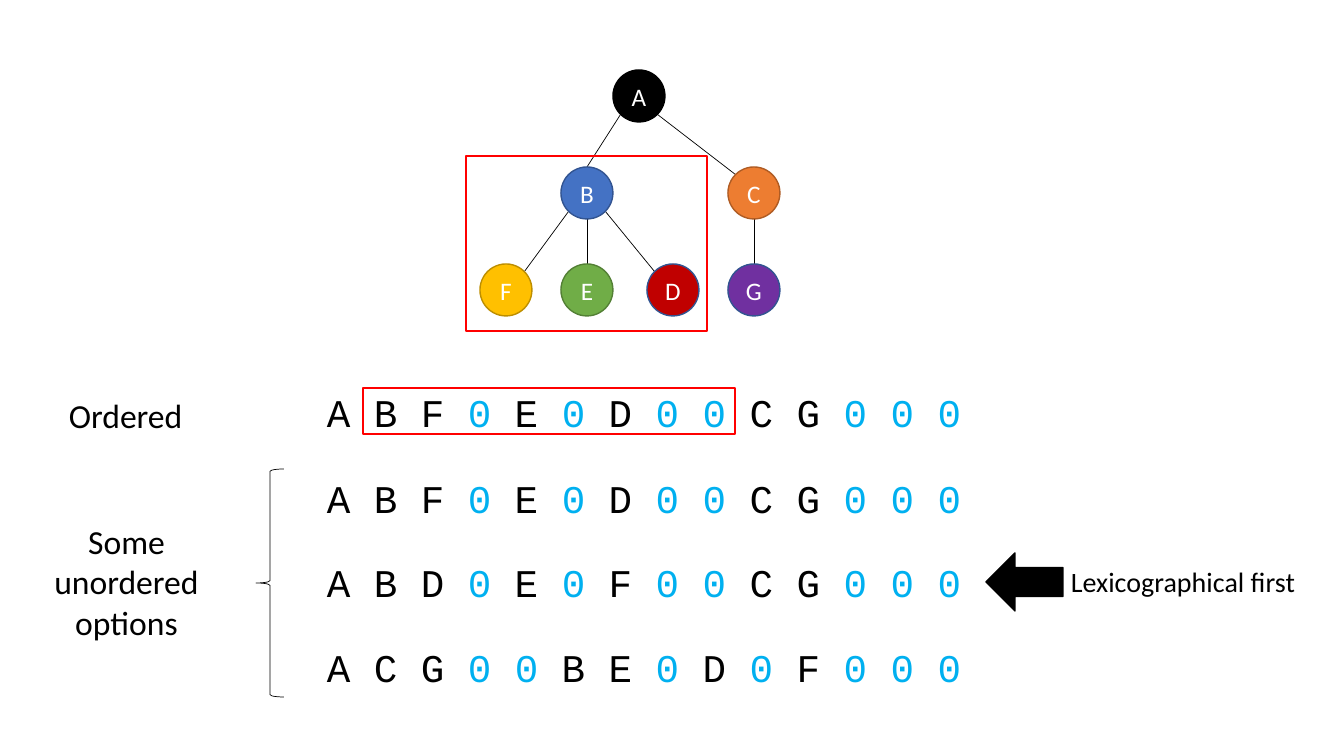
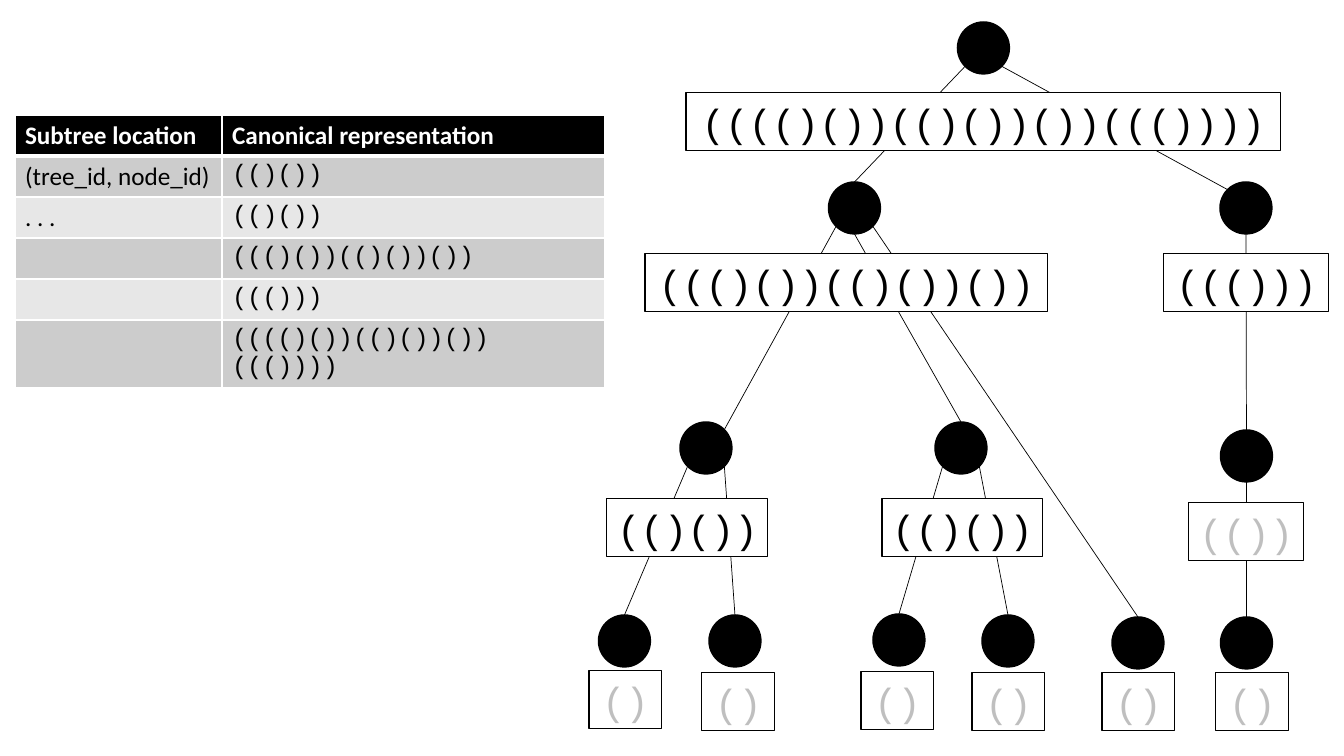
from dataclasses import dataclass
from itertools import groupby
from math import sqrt
from typing import Dict, List, NamedTuple, Optional, Tuple

from lxml import etree
from pptx import Presentation
from pptx.dml.color import RGBColor
from pptx.enum.shapes import MSO_CONNECTOR, MSO_SHAPE
from pptx.enum.text import MSO_ANCHOR, PP_ALIGN
from pptx.oxml.ns import qn
from pptx.util import Emu, Pt

ELLIPSE, RECT = MSO_SHAPE.OVAL, MSO_SHAPE.RECTANGLE
BRACE, ARROW = MSO_SHAPE.LEFT_BRACE, MSO_SHAPE.LEFT_ARROW
STRAIGHT = MSO_CONNECTOR.STRAIGHT
LEFT, CENTER = PP_ALIGN.LEFT, PP_ALIGN.CENTER
TOP, MIDDLE = MSO_ANCHOR.TOP, MSO_ANCHOR.MIDDLE

PX_PER_INCH = 100.8
RADIUS = 26
LABEL_HEIGHT = 58
DIAGONAL = 1 / sqrt(2)
SITES = {
    "top": (0, -1), "bottom": (0, 1),
    "top left": (-DIAGONAL, -DIAGONAL), "top right": (DIAGONAL, -DIAGONAL),
    "bottom left": (-DIAGONAL, DIAGONAL), "bottom right": (DIAGONAL, DIAGONAL),
}


@dataclass(frozen=True)
class Theme:
    """Colours, fonts and type sizes of both slides."""
    black: str = "000000"
    white: str = "FFFFFF"
    red: str = "FF0000"
    zero: str = "00B0F0"
    leaf: str = "BFBFBF"
    band_dark: str = "CCCCCC"
    band_light: str = "E7E7E7"
    sans: str = "Calibri"
    mono: str = "Courier New"
    code_size: int = 28
    caption_size: int = 24
    note_size: int = 20
    body_size: int = 18
    hairline: float = 0.5


THEME = Theme()


class Box(NamedTuple):
    """Left, top, width and height in pixels."""
    left: float
    top: float
    width: float
    height: float


class Node(NamedTuple):
    """A tree node, placed by its centre."""
    x: float
    y: float
    letter: str = ""
    fill: str = THEME.black
    line: str = THEME.black


class Edge(NamedTuple):
    """A line between the rims of two nodes."""
    parent: str
    start: str
    child: str
    end: str = "top"


class Label(NamedTuple):
    """A boxed bracket string under a node."""
    left: int
    top: int
    width: int
    brackets: str
    color: str = THEME.black


def px(length: float) -> Emu:
    """Turn pixels into EMU."""
    return Emu(round(length * 914400 / PX_PER_INCH))


def rgb(color: str) -> RGBColor:
    """Turn a hex string into a colour."""
    return RGBColor.from_string(color)


def write_text(frame, text: str, *, size: int = THEME.body_size, font: str = THEME.sans,
               color: str = THEME.black, zero_color: Optional[str] = None,
               bold: bool = False, align: PP_ALIGN = LEFT) -> None:
    """Write one paragraph, giving zeros their own colour if one is set."""
    paragraph = frame.paragraphs[0]
    paragraph.alignment = align
    for is_zero, letters in groupby(text, lambda letter: zero_color is not None and letter == "0"):
        run = paragraph.add_run()
        run.text = "".join(letters)
        run.font.name, run.font.size, run.font.bold = font, Pt(size), bold
        run.font.color.rgb = rgb(zero_color if is_zero else color)


def add_text(slide, box: Box, text: str, wrap: bool = False, **text_format) -> None:
    """Add a text box."""
    frame = slide.shapes.add_textbox(*map(px, box)).text_frame
    frame.word_wrap = wrap
    write_text(frame, text, **text_format)


def add_figure(slide, kind: MSO_SHAPE, box: Box, *, fill: Optional[str] = None,
               line: str = THEME.black, weight: float = 1, text: str = "",
               anchor: MSO_ANCHOR = MIDDLE, **text_format) -> None:
    """Add a preset shape with an optional fill and text."""
    shape = slide.shapes.add_shape(kind, *map(px, box))
    shape.shadow.inherit = False
    if fill:
        shape.fill.solid()
        shape.fill.fore_color.rgb = rgb(fill)
    else:
        shape.fill.background()
    shape.line.color.rgb = rgb(line)
    shape.line.width = Pt(weight)
    if text:
        shape.text_frame.word_wrap = False
        shape.text_frame.vertical_anchor = anchor
        write_text(shape.text_frame, text, align=CENTER, **text_format)


def rim_point(node: Node, site: str) -> Tuple[Emu, Emu]:
    """Find a connection site on the rim of a node."""
    dx, dy = SITES[site]
    return px(node.x + RADIUS * dx), px(node.y + RADIUS * dy)


def add_tree(slide, nodes: Dict[str, Node], edges: List[Edge]) -> None:
    """Draw the edges and then the nodes of a tree."""
    for edge in edges:
        connector = slide.shapes.add_connector(
            STRAIGHT, *rim_point(nodes[edge.parent], edge.start),
            *rim_point(nodes[edge.child], edge.end))
        connector.line.color.rgb = rgb(THEME.black)
        connector.line.width = Pt(THEME.hairline)
        etree.SubElement(connector._element.spPr, qn("a:effectLst"))
    for node in nodes.values():
        circle = Box(node.x - RADIUS, node.y - RADIUS, 2 * RADIUS, 2 * RADIUS)
        add_figure(slide, ELLIPSE, circle, fill=node.fill, line=node.line,
                   text=node.letter, color=THEME.white)


def add_border(cell, side: str, weight: float) -> None:
    """Give one side of a cell a white border."""
    border = etree.SubElement(cell._tc.get_or_add_tcPr(), qn("a:ln" + side), w=str(Pt(weight)))
    fill = etree.SubElement(border, qn("a:solidFill"))
    etree.SubElement(fill, qn("a:srgbClr"), val=THEME.white)


def add_lookup_table(slide, box: Box, widths: List[int], rows: List[Tuple[str, str]]) -> None:
    """Add the table that maps subtrees to bracket strings."""
    table = slide.shapes.add_table(len(rows), len(widths), *map(px, box)).table
    for column, width in zip(table.columns, widths):
        column.width = px(width)
    for r, row in enumerate(rows):
        header = r == 0
        band = THEME.black if header else THEME.band_dark if r % 2 else THEME.band_light
        for c, text in enumerate(row):
            cell = table.cell(r, c)
            for side in "LRTB":
                under_header = (r, side) in ((0, "B"), (1, "T"))
                add_border(cell, side, 3 if under_header else 1)
            cell.fill.solid()
            cell.fill.fore_color.rgb = rgb(band)
            write_text(cell.text_frame, text, bold=header,
                       color=THEME.white if header else THEME.black,
                       font=THEME.mono if c and not header else THEME.sans)


def build_ordering_slide(slide) -> None:
    """Show a tree and its ordered and unordered encodings."""
    nodes = {node.letter: node for node in (
        Node(639, 96, "A"),
        Node(754, 193, "C", "ED7D31", "AF5C24"),
        Node(587, 193, "B", "4472C4", "325491"),
        Node(754, 290, "G", "7030A0", "325491"),
        Node(673, 290, "D", "C00000", "325491"),
        Node(587, 290, "E", "70AD47", "538035"),
        Node(506, 290, "F", "FFC000", "BD8E00"),
    )}
    edges = [
        Edge("A", "bottom left", "B"),
        Edge("A", "bottom right", "C", "top left"),
        Edge("B", "bottom left", "F", "top right"),
        Edge("B", "bottom", "E"),
        Edge("B", "bottom right", "D", "top left"),
        Edge("C", "bottom", "G"),
    ]
    encodings = {
        383: "A B F 0 E 0 D 0 0 C G 0 0 0",
        469: "A B F 0 E 0 D 0 0 C G 0 0 0",
        553: "A B D 0 E 0 F 0 0 C G 0 0 0",
        638: "A C G 0 0 B E 0 D 0 F 0 0 0",
    }
    for top, encoding in encodings.items():
        add_text(slide, Box(317, top, 659, LABEL_HEIGHT), encoding,
                 size=THEME.code_size, font=THEME.mono, zero_color=THEME.zero)
    add_text(slide, Box(59, 390, 135, 50), "Ordered", size=THEME.caption_size)
    add_text(slide, Box(39, 516, 175, 132), "Some unordered options", wrap=True,
             size=THEME.caption_size, align=CENTER)
    add_figure(slide, BRACE, Box(256, 469, 28, 228), weight=THEME.hairline)
    add_figure(slide, ARROW, Box(986, 553, 77, 58), fill=THEME.black)
    add_text(slide, Box(1061, 560, 247, 44), "Lexicographical first", size=THEME.note_size)
    add_tree(slide, nodes, edges)
    for subtree in (Box(363, 388, 372, 46), Box(466, 156, 241, 175)):
        add_figure(slide, RECT, subtree, line=THEME.red, weight=1.5)


def build_canonical_slide(slide) -> None:
    """Show a tree with bracket strings beside their lookup table."""
    pair, triple, chain = "(()())", "((()())(()())())", "((()))"
    whole = "(" + triple + chain + ")"
    add_lookup_table(slide, Box(15, 115, 590, 246), [207, 383], [
        ("Subtree location", "Canonical representation"),
        ("(tree_id, node_id)", pair),
        (". . .", pair),
        ("", triple),
        ("", chain),
        ("", whole),
    ])
    nodes = {
        "root": Node(983.5, 48),
        "left": Node(854.5, 208), "right": Node(1246, 208),
        "first pair": Node(706, 448), "second pair": Node(961, 448),
        "chain": Node(1246.5, 456),
        "leaf 1": Node(624.5, 641), "leaf 2": Node(735, 641),
        "leaf 3": Node(899, 640), "leaf 4": Node(1008, 641),
        "leaf 5": Node(1138, 643), "leaf 6": Node(1246.5, 643),
    }
    edges = [
        Edge("root", "bottom left", "left"),
        Edge("root", "bottom right", "right", "top left"),
        Edge("left", "bottom left", "first pair", "top right"),
        Edge("left", "bottom", "second pair"),
        Edge("left", "bottom right", "leaf 5"),
        Edge("right", "bottom", "chain"),
        Edge("first pair", "bottom left", "leaf 1"),
        Edge("first pair", "bottom right", "leaf 2"),
        Edge("second pair", "bottom left", "leaf 3"),
        Edge("second pair", "bottom right", "leaf 4"),
        Edge("chain", "bottom", "leaf 6"),
    ]
    leaf_corners = [(589, 671), (702, 673), (861, 672), (972, 673), (1102, 673), (1216, 673)]
    labels = [
        Label(686, 93, 595, whole),
        Label(645, 254, 403, triple),
        Label(1164, 254, 165, chain),
        Label(607, 499, 161, pair),
        Label(882, 499, 161, pair),
        Label(1189, 503, 115, "(())", THEME.leaf),
        *(Label(left, top, 73, "()", THEME.leaf) for left, top in leaf_corners),
    ]
    add_tree(slide, nodes, edges)
    for label in labels:
        add_figure(slide, RECT, Box(label.left, label.top, label.width, LABEL_HEIGHT),
                   fill=THEME.white, weight=0.75, text=label.brackets, anchor=TOP,
                   size=THEME.code_size, font=THEME.mono, color=label.color)


def main() -> None:
    """Build and save the presentation."""
    deck = Presentation()
    deck.slide_width, deck.slide_height = px(1344), px(756)
    blank = deck.slide_layouts[6]
    for build in (build_ordering_slide, build_canonical_slide):
        build(deck.slides.add_slide(blank))
    deck.save("out.pptx")


main()
